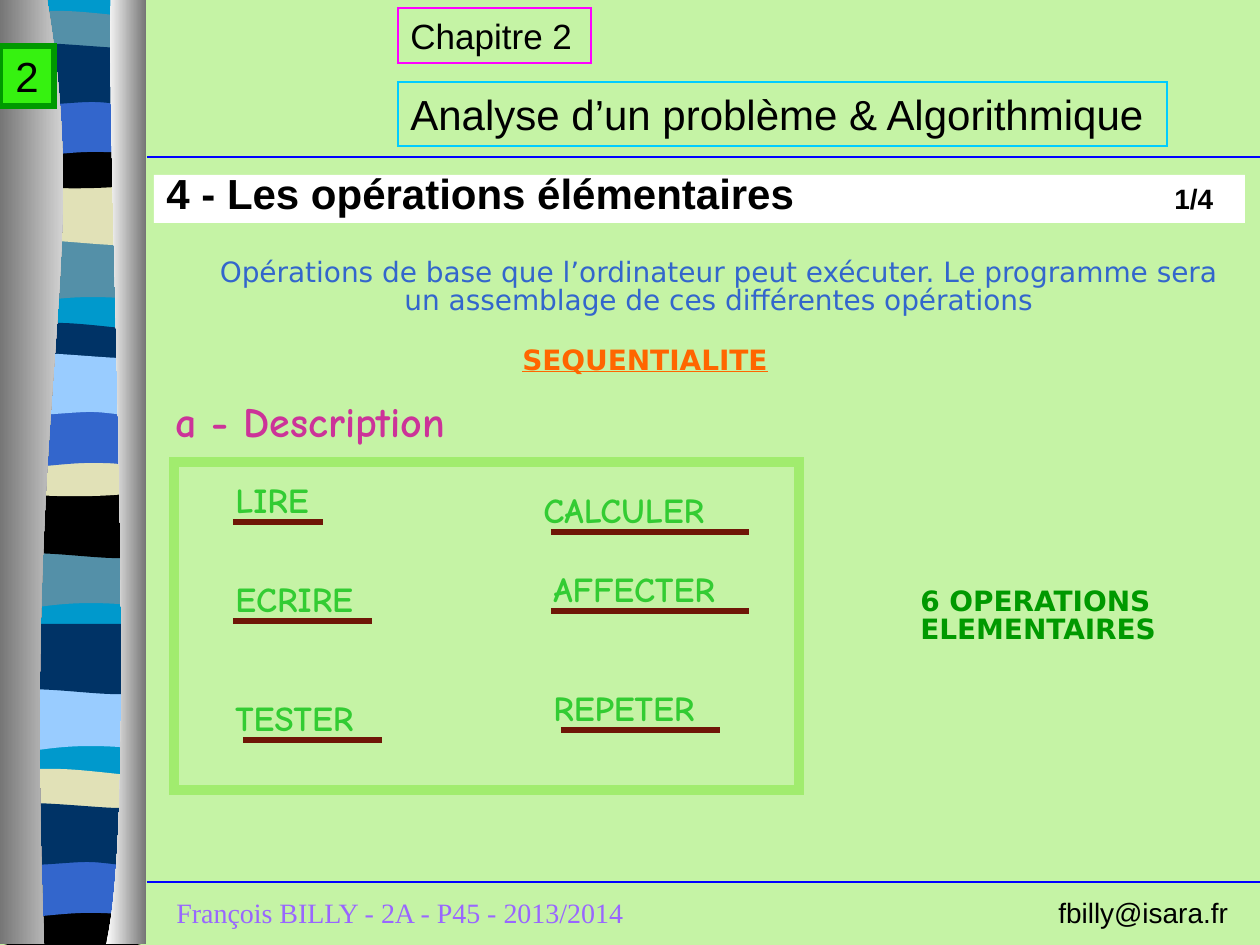
"""Build the slide on elementary operations, with its ribbon down the left side."""
import pptx
import pptx.util
import pptx.dml.color
import pptx.enum.shapes
import pptx.enum.text
import pptx.oxml.ns
import lxml.etree

UNIT = 914400 / 126
HUES = {
    "back": "C5F3A5", "black": "000000", "white": "FFFFFF", "grey": "767676",
    "teal": "0099CC", "steel": "5490A8", "sand": "E1E1B7", "navy": "003366",
    "royal": "3366CC", "sky": "99CCFF", "violet": "9966FF", "pink": "FF00FF",
    "cyan": "00CCFF", "blue": "0000FF", "lime": "36F210", "green": "009900",
    "rose": "CC3399", "leaf": "33CC33", "rust": "6F1607", "orange": "FF6600",
    "frame": "A1EC6E",
}
FORMS = {
    "base": [(136, 0), (136, 942), (0, 942), (0, 0)],
    "wave": [(137, 0), (137, 67), (43, 57, 24, 77, 0, 67), (0, 0)],
    "swell": [(137, 0), (137, 67), (114, 77, 42, 60, 0, 67), (0, 0)],
    "hump": [(136, 0), (136, 36), (113, 41, 23, 41, 0, 36), (0, -2),
             (9, -8, 29, -7, 53, -7), (76, -7, 118, -1, 136, 0)],
    "bowl": [(137, 0), (137, 47), (114, 54, 24, 54, 0, 47), (0, 0),
             (84, 6, 108, 0, 137, 0)],
    "arch": [(136, 0), (136, 66), (115, 60, 106, 60, 83, 60),
             (60, 60, 20, 66, 0, 66), (0, 0)],
    "flag": [(136, -1), (136, 53), (127, 60, 107, 53, 84, 53),
             (62, 53, 14, 60, 0, 53), (0, -4), (19, -10, 93, -1, 116, -1), (136, -1)],
    "left": [(47, 0), (93, 272, 22, 373, 44, 944), (0, 944), (0, 0)],
    "right": [(5, 0), (0, 158, 34, 814, 0, 944), (40, 944), (40, 0)],
}
BANDS = [
    ("base", 8, 0, "teal"),
    ("wave", 6, 233, "steel"), ("swell", 9, 175, "sand"), ("hump", 9, 18, "steel"),
    ("bowl", 6, 136, "black"), ("arch", 8, 92, "royal"), ("flag", 8, 49, "navy"),
    ("wave", 4, 539, "steel"), ("swell", 6, 488, "black"), ("hump", 6, 330, "navy"),
    ("bowl", 6, 444, "sand"), ("arch", 6, 403, "royal"), ("flag", 6, 359, "sky"),
    ("wave", 4, 682, "sky"), ("swell", 5, 624, "navy"), ("hump", 4, 776, "sand"),
    ("bowl", 4, 897, "black"), ("arch", 3, 853, "royal"), ("flag", 3, 809, "navy"),
    ("left", 0, 0, ("grey", "white")), ("right", 106, 0, ("white", "grey")),
]
RULES = [(147, 1260, 882), (147, 1260, 157)]
WORDS = [
    ("LIRE", 223, 472, 149, 10, 90), ("ECRIRE", 223, 571, 159, 10, 139),
    ("TESTER", 223, 690, 169, 20, 139), ("CALCULER", 531, 482, 238, 20, 198),
    ("AFFECTER", 541, 561, 228, 10, 198), ("REPETER", 541, 680, 208, 20, 159),
]
DROP = 50
SANS, COMIC, ROMAN, WIDE = "Arial", "Comic Neue", "Times New Roman", "DejaVu Sans"
BOXES = [
    ((164, 889, 1077, 46), [("François BILLY - 2A - P45 - 2013/2014\t", 16, ROMAN, "violet", ""),
                            ("fbilly@isara.fr", 16, SANS, "black", "")], {"tab": 882}),
    ((398, 8, 193, 55), [("Chapitre 2", 20, SANS, "black", "")], {"line": ("pink", 0.75)}),
    ((398, 82, 769, 64), [("Analyse d’un problème & Algorithmique", 24, SANS, "black", "")],
     {"line": ("cyan", 0.75)}),
    ((0, 46, 54, 60), [("2", 24, SANS, "black", "")],
     {"fill": "lime", "line": ("green", 3), "mid": True, "wrap": False, "anchor": "MIDDLE"}),
    ((163, 389, 494, 63), [("a - Description", 24, COMIC, "rose", "b")], {}),
    ((203, 253, 1032, 71), [("Opérations de base que l’ordinateur peut exécuter. Le programme sera "
                             "un assemblage de ces différentes opérations", 16, WIDE, "royal", "")],
     {"mid": True, "gap": 0.85}),
    ((471, 341, 348, 42), [("SEQUENTIALITE", 16, WIDE, "orange", "bu")], {"mid": True, "gap": 0.85}),
    ((174, 462, 625, 328), [], {"line": ("frame", 6)}),
    ((908, 582, 277, 71), [("6 OPERATIONS ELEMENTAIRES", 16, WIDE, "green", "b")], {"gap": 0.85}),
    ((154, 175, 1091, 48), [("4 - Les opérations élémentaires\t", 24, SANS, "black", "b"),
                            ("1/4", 16, SANS, "black", "b")],
     {"fill": "white", "gap": 0.7, "tab": 1008}),
]


def px(num):
    return pptx.util.Emu(round(num * UNIT))


def hue(name):
    return pptx.dml.color.RGBColor.from_string(HUES[name])


def tag(name):
    return pptx.oxml.ns.qn("a:" + name)


def bend(shape, form):
    route = next(shape._element.iter(tag("path")))
    legs = iter(route.findall(tag("lnTo")))
    for part in form[1:]:
        first = next(legs)
        if len(part) == 6:
            curve = lxml.etree.Element(tag("cubicBezTo"))
            first.addprevious(curve)
            for leg in (first, next(legs), next(legs)):
                curve.append(leg[0])
                route.remove(leg)


def add_band(shapes, kind, x, y, fill):
    form = FORMS[kind]
    pts = [(x + part[i], y + part[i + 1]) for part in form for i in range(0, len(part), 2)]
    pen = shapes.build_freeform(*pts[0], scale=UNIT)
    pen.add_line_segments(pts[1:], close=True)
    band = pen.convert_to_shape()
    bend(band, form)
    band.shadow.inherit = False
    band.line.fill.background()
    if isinstance(fill, str):
        band.fill.solid()
        band.fill.fore_color.rgb = hue(fill)
        return
    band.fill.gradient()
    band.fill.gradient_angle = 0
    for stop, name in zip(band.fill.gradient_stops, fill):
        stop.color.rgb = hue(name)


def add_rule(shapes, x, end, y, name, width):
    rule = shapes.add_connector(pptx.enum.shapes.MSO_CONNECTOR.STRAIGHT, px(x), px(y), px(end), px(y))
    rule.line.color.rgb = hue(name)
    rule.line.width = pptx.util.Pt(width)
    lxml.etree.SubElement(rule._element.spPr, tag("effectLst"))


def add_box(shapes, place, runs, fill=None, line=None, mid=False, gap=None, tab=None,
            wrap=True, anchor="TOP"):
    spot = [px(n) for n in place]
    if fill or line:
        box = shapes.add_shape(pptx.enum.shapes.MSO_SHAPE.RECTANGLE, *spot)
        box.shadow.inherit = False
    else:
        box = shapes.add_textbox(*spot)
    if fill:
        box.fill.solid()
        box.fill.fore_color.rgb = hue(fill)
    else:
        box.fill.background()
    if line:
        box.line.color.rgb = hue(line[0])
        box.line.width = pptx.util.Pt(line[1])
        lxml.etree.SubElement(box.line._get_or_add_ln(), tag("miter"), lim="800000")
    else:
        box.line.fill.background()
    frame = box.text_frame
    frame.word_wrap = wrap
    frame.vertical_anchor = pptx.enum.text.MSO_ANCHOR[anchor]
    para = frame.paragraphs[0]
    para.alignment = pptx.enum.text.PP_ALIGN.CENTER if mid else pptx.enum.text.PP_ALIGN.LEFT
    if gap:
        para.line_spacing = gap
    if tab:
        tabs = lxml.etree.SubElement(para._p.get_or_add_pPr(), tag("tabLst"))
        lxml.etree.SubElement(tabs, tag("tab"), pos=str(px(tab)), algn="l")
    for text, size, face, name, style in runs:
        run = para.add_run()
        run.text = text
        run.font.size = pptx.util.Pt(size)
        run.font.name = face
        run.font.color.rgb = hue(name)
        run.font.bold = "b" in style
        run.font.underline = "u" in style


def main():
    deck = pptx.Presentation()
    deck.slide_width, deck.slide_height = px(1260), px(945)
    slide = deck.slides.add_slide(deck.slide_layouts[6])
    slide.background.fill.solid()
    slide.background.fill.fore_color.rgb = hue("back")
    shapes = slide.shapes
    for band in BANDS:
        add_band(shapes, *band)
    for rule in RULES:
        add_rule(shapes, *rule, "blue", 0.75)
    for place, runs, look in BOXES:
        add_box(shapes, place, runs, **look)
    for word, x, y, width, shift, size in WORDS:
        add_box(shapes, (x, y, width, 54), [(word, 20, COMIC, "leaf", "b")])
        add_rule(shapes, x + shift, x + shift + size, y + DROP, "rust", 3)
    deck.save("out.pptx")


if __name__ == "__main__":
    main()
